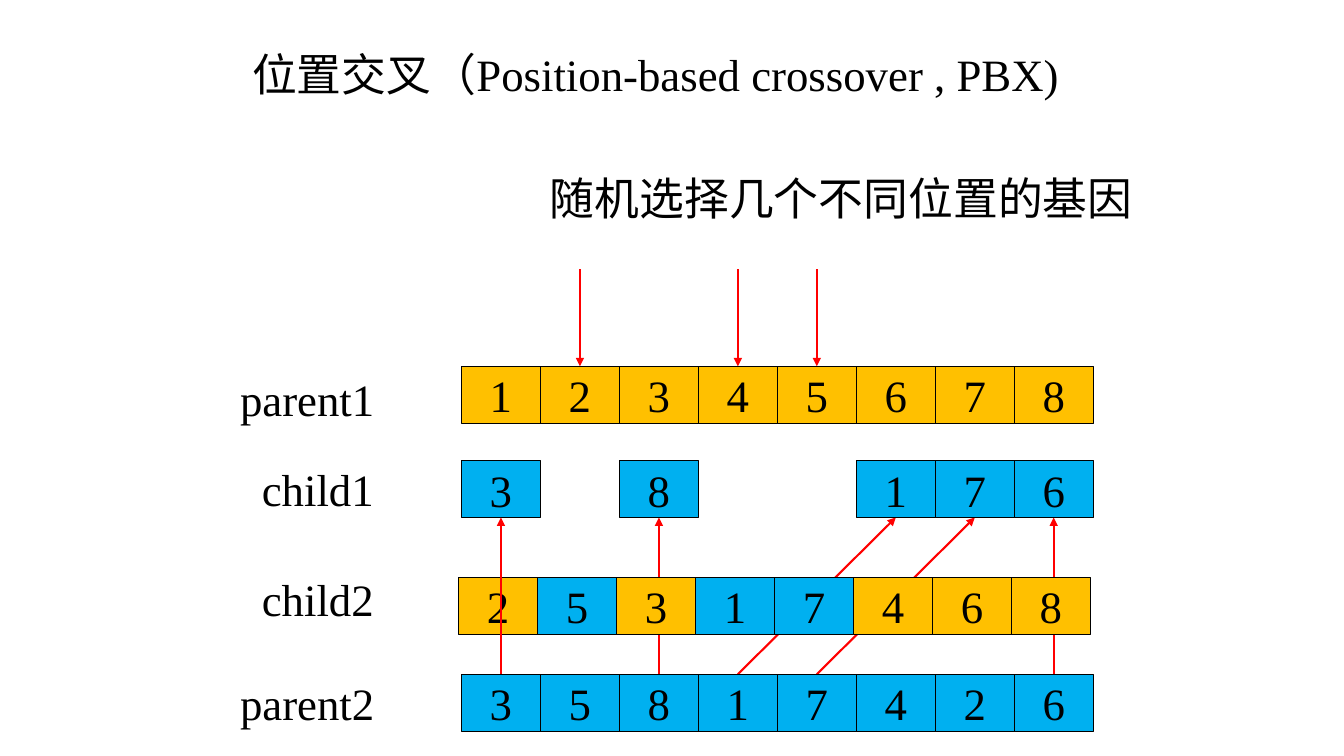
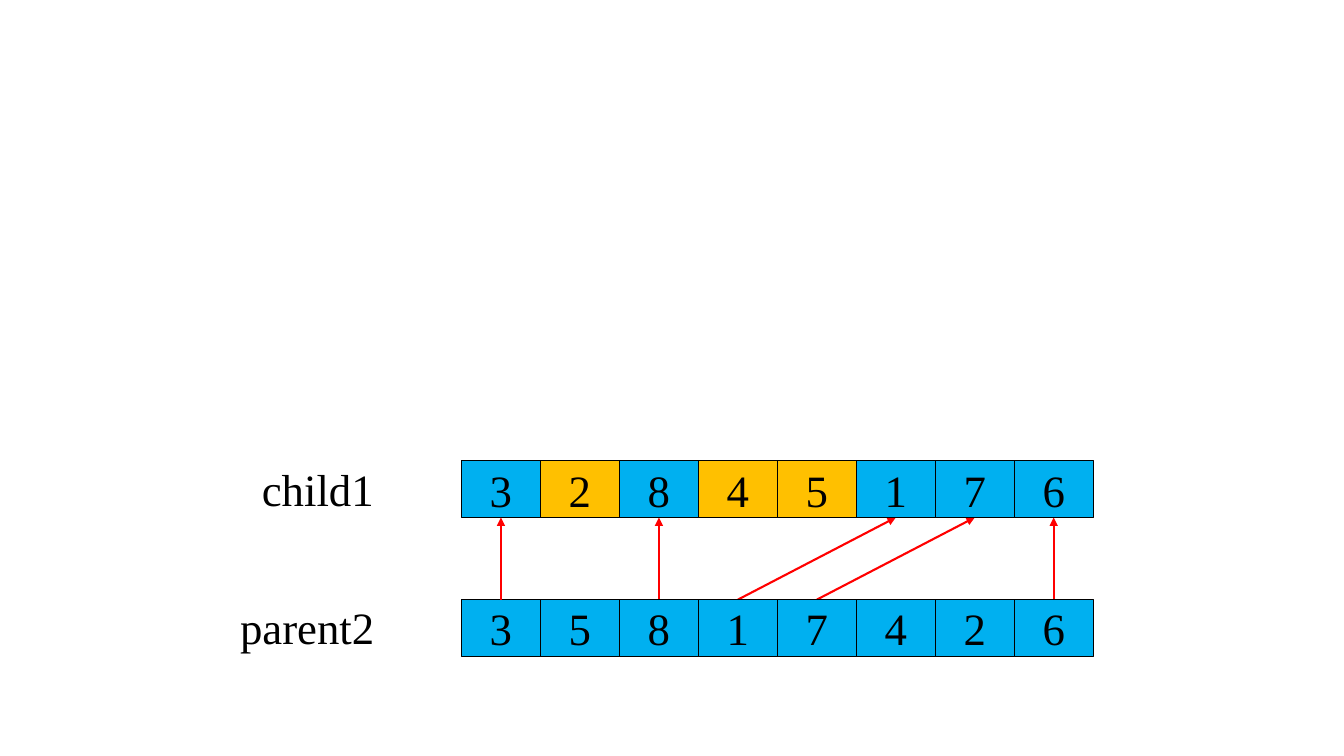
from dataclasses import dataclass
from lxml import etree
from pptx import Presentation
from pptx.dml.color import RGBColor
from pptx.enum.shapes import MSO_CONNECTOR, MSO_SHAPE
from pptx.enum.text import MSO_ANCHOR, MSO_AUTO_SIZE, PP_ALIGN
from pptx.oxml.ns import qn
from pptx.util import Cm, Pt

RECTANGLE = MSO_SHAPE.RECTANGLE
STRAIGHT = MSO_CONNECTOR.STRAIGHT
TOP, MIDDLE = MSO_ANCHOR.TOP, MSO_ANCHOR.MIDDLE
LEFT, CENTER = PP_ALIGN.LEFT, PP_ALIGN.CENTER
NO_AUTO_SIZE = MSO_AUTO_SIZE.NONE


@dataclass(frozen=True)
class Theme:
    font: str = "Times New Roman"
    size: Pt = Pt(32)
    text: RGBColor = RGBColor(0x00, 0x00, 0x00)
    background: RGBColor = RGBColor(0xFF, 0xFF, 0xFF)
    orange: RGBColor = RGBColor(0xFF, 0xC0, 0x00)
    blue: RGBColor = RGBColor(0x00, 0xB0, 0xF0)
    arrow: RGBColor = RGBColor(0xFF, 0x00, 0x00)
    cell_line: Pt = Pt(0.5)
    arrow_line: Pt = Pt(1.5)


theme = Theme()
GENE_COLOURS = {"O": theme.orange, "B": theme.blue}
GENE_LEFT, GENE_WIDTH, GENE_HEIGHT = 11.63, 1.99, 1.43
LABEL_HEIGHT = 1.63
PARENT_LABEL = (5.8, 4.22)
CHILD_LABEL = (6.35, 3.35)


def write_text(shape, text, align=LEFT, anchor=TOP):
    frame = shape.text_frame
    frame.word_wrap = True
    frame.auto_size = NO_AUTO_SIZE
    frame.vertical_anchor = anchor
    paragraph = frame.paragraphs[0]
    paragraph.alignment = align
    run = paragraph.add_run()
    run.text = text
    run.font.name = theme.font
    run.font.size = theme.size
    run.font.color.rgb = theme.text


def draw_arrow(slide, start_column, start_top, end_column, end_top):
    start_x, end_x = (GENE_LEFT + (column + 0.5) * GENE_WIDTH
                      for column in (start_column, end_column))
    arrow = slide.shapes.add_connector(
        STRAIGHT, Cm(start_x), Cm(start_top), Cm(end_x), Cm(end_top))
    arrow.line.color.rgb = theme.arrow
    arrow.line.width = theme.arrow_line
    etree.SubElement(arrow.line._get_or_add_ln(), qn("a:tailEnd"), type="triangle")
    etree.SubElement(arrow._element.spPr, qn("a:effectLst"))


presentation = Presentation()
presentation.slide_width = Cm(33.87)
presentation.slide_height = Cm(19.05)
background = presentation.slide_master.background.fill
background.solid()
background.fore_color.rgb = theme.background

title_only_layout = presentation.slide_layouts[5]
blank_layout = presentation.slide_layouts[6]

crossover_slide = presentation.slides.add_slide(title_only_layout)
title = crossover_slide.shapes.title
title.left, title.top, title.width, title.height = Cm(6.1), Cm(1.04), Cm(21.03), Cm(1.63)
write_text(title, "位置交叉（Position-based crossover , PBX)")

hint = crossover_slide.shapes.add_textbox(Cm(13.61), Cm(4.17), Cm(15.34), Cm(LABEL_HEIGHT))
write_text(hint, "随机选择几个不同位置的基因")

for column in (1, 3, 4):
    draw_arrow(crossover_slide, column, 6.78, column, 9.23)

result_slide = presentation.slides.add_slide(blank_layout)

CHILD1_TOP = 11.61
CHILD1_BOTTOM = CHILD1_TOP + GENE_HEIGHT
INHERITED = ((2, 2), (3, 5), (4, 6), (7, 7))

diagrams = (
    (crossover_slide, 16.99, (
        ("parent1", PARENT_LABEL, 9.25, GENE_LEFT, 9.23, "12345678", "OOOOOOOO"),
        ("child1", CHILD_LABEL, 11.51, GENE_LEFT, CHILD1_TOP, "3 8  176", "BBBBBBBB"),
        ("child2", CHILD_LABEL, 14.29, 11.56, 14.55, "25317468", "OBOBBOOO"),
        ("parent2", PARENT_LABEL, 16.89, GENE_LEFT, 16.99, "35817426", "BBBBBBBB"),
    )),
    (result_slide, 15.11, (
        ("child1", CHILD_LABEL, 11.51, GENE_LEFT, CHILD1_TOP, "32845176", "BOBOOBBB"),
        ("parent2", PARENT_LABEL, 14.99, GENE_LEFT, 15.11, "35817426", "BBBBBBBB"),
    )),
)

for slide, parent2_top, rows in diagrams:
    for start_column, end_column in INHERITED:
        draw_arrow(slide, start_column, parent2_top, end_column, CHILD1_BOTTOM)

    for name, (label_left, label_width), label_top, row_left, row_top, genes, colours in rows:
        label = slide.shapes.add_textbox(
            Cm(label_left), Cm(label_top), Cm(label_width), Cm(LABEL_HEIGHT))
        write_text(label, name)
        for column, (gene, colour) in enumerate(zip(genes, colours)):
            if gene == " ":
                continue
            cell = slide.shapes.add_shape(
                RECTANGLE, Cm(row_left + column * GENE_WIDTH), Cm(row_top),
                Cm(GENE_WIDTH), Cm(GENE_HEIGHT))
            cell.shadow.inherit = False
            cell.fill.solid()
            cell.fill.fore_color.rgb = GENE_COLOURS[colour]
            cell.line.color.rgb = theme.text
            cell.line.width = theme.cell_line
            write_text(cell, gene, align=CENTER, anchor=MIDDLE)

    draw_arrow(slide, 0, parent2_top, 0, CHILD1_BOTTOM)

presentation.save("out.pptx")
